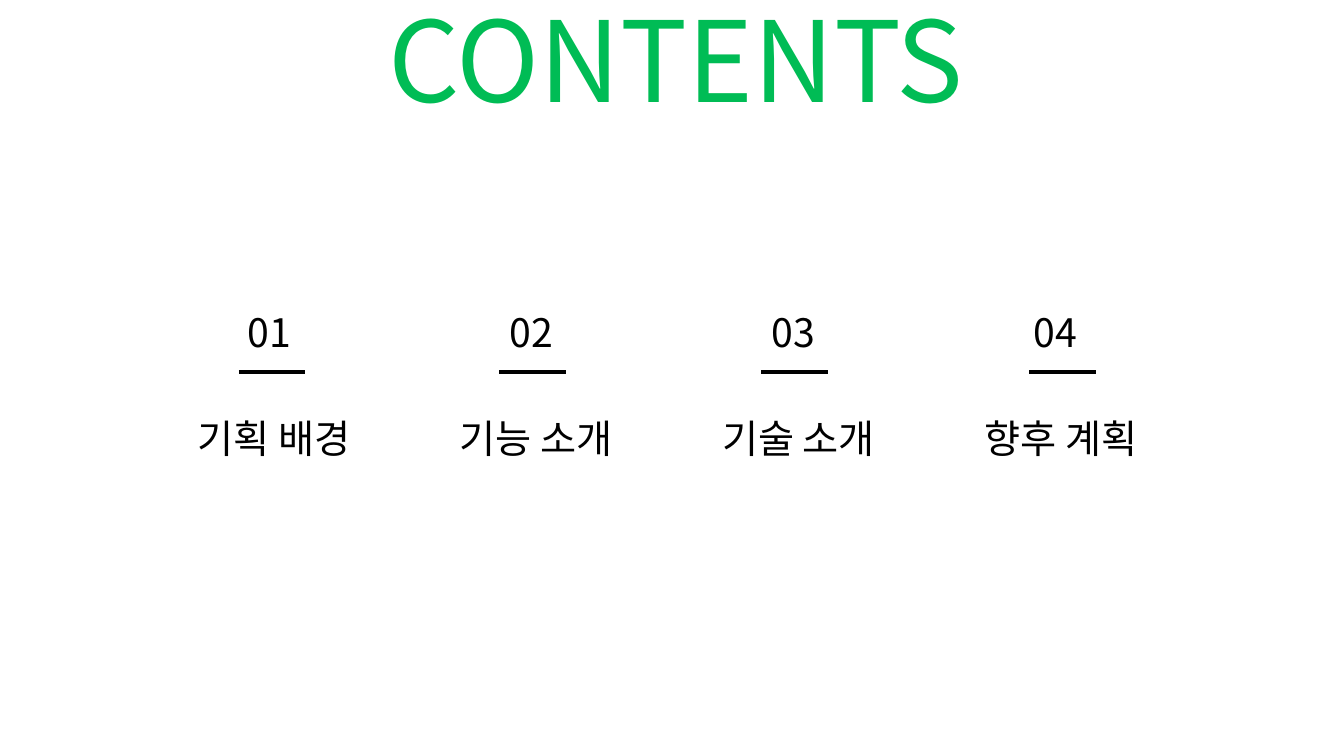
from lxml import etree
from pptx import Presentation
from pptx.dml.color import RGBColor
from pptx.enum.shapes import MSO_CONNECTOR as Connector
from pptx.enum.text import MSO_ANCHOR as Anchor, MSO_AUTO_SIZE as AutoSize, PP_ALIGN as Align
from pptx.oxml.ns import qn
from pptx.util import Inches, Pt

BLACK = RGBColor(0x00, 0x00, 0x00)
GREEN = RGBColor(0x00, 0xBC, 0x55)
FONT = "Noto Sans CJK KR"

SECTIONS = [
    ("01", "기획 배경", 2.37),
    ("02", "기능 소개", 4.95),
    ("03", "기술 소개", 7.55),
    ("04", "향후 계획", 10.21),
]
FIRST_CENTER = 2.7
COLUMN_STEP = 2.6
RULE_WIDTH = 0.66
RULE_TOP = 3.69


def write_text(shape, text, size, color):
    frame = shape.text_frame
    frame.word_wrap = True
    frame.auto_size = AutoSize.SHAPE_TO_FIT_TEXT
    frame.vertical_anchor = Anchor.TOP
    paragraph = frame.paragraphs[0]
    paragraph.alignment = Align.CENTER
    paragraph.line_spacing = 1.0
    run = paragraph.add_run()
    run.text = text
    run.font.size = Pt(size)
    run.font.name = FONT
    run.font.color.rgb = color
    east_asian = etree.SubElement(run.font._element, qn("a:ea"))
    east_asian.set("typeface", FONT)


def add_title(slide, text):
    title = slide.shapes.title
    title.left, title.top = Inches(3.37), Inches(-0.14)
    title.width, title.height = Inches(6.67), Inches(1.45)
    write_text(title, text, 80, GREEN)


def add_label(slide, text, center, top, width):
    label = slide.shapes.add_textbox(
        Inches(center - width / 2), Inches(top), Inches(width), Inches(0.57)
    )
    write_text(label, text, 28, BLACK)


def add_rule(slide, left):
    rule = slide.shapes.add_connector(
        Connector.STRAIGHT,
        Inches(left), Inches(RULE_TOP), Inches(left + RULE_WIDTH), Inches(RULE_TOP),
    )
    rule.line.color.rgb = BLACK
    rule.line.width = Pt(3)
    etree.SubElement(rule._element.spPr, qn("a:effectLst"))


def main():
    presentation = Presentation()
    presentation.slide_width = Inches(13.33)
    presentation.slide_height = Inches(7.5)
    slide = presentation.slides.add_slide(presentation.slide_layouts[5])

    add_title(slide, "CONTENTS")
    for index, (number, name, rule_left) in enumerate(SECTIONS):
        center = FIRST_CENTER + index * COLUMN_STEP
        add_label(slide, number, center - 0.03, 3.01, 0.89)
        add_rule(slide, rule_left)
        add_label(slide, name, center + 0.02, 4.06, 2.65)

    presentation.save("out.pptx")


if __name__ == "__main__":
    main()
